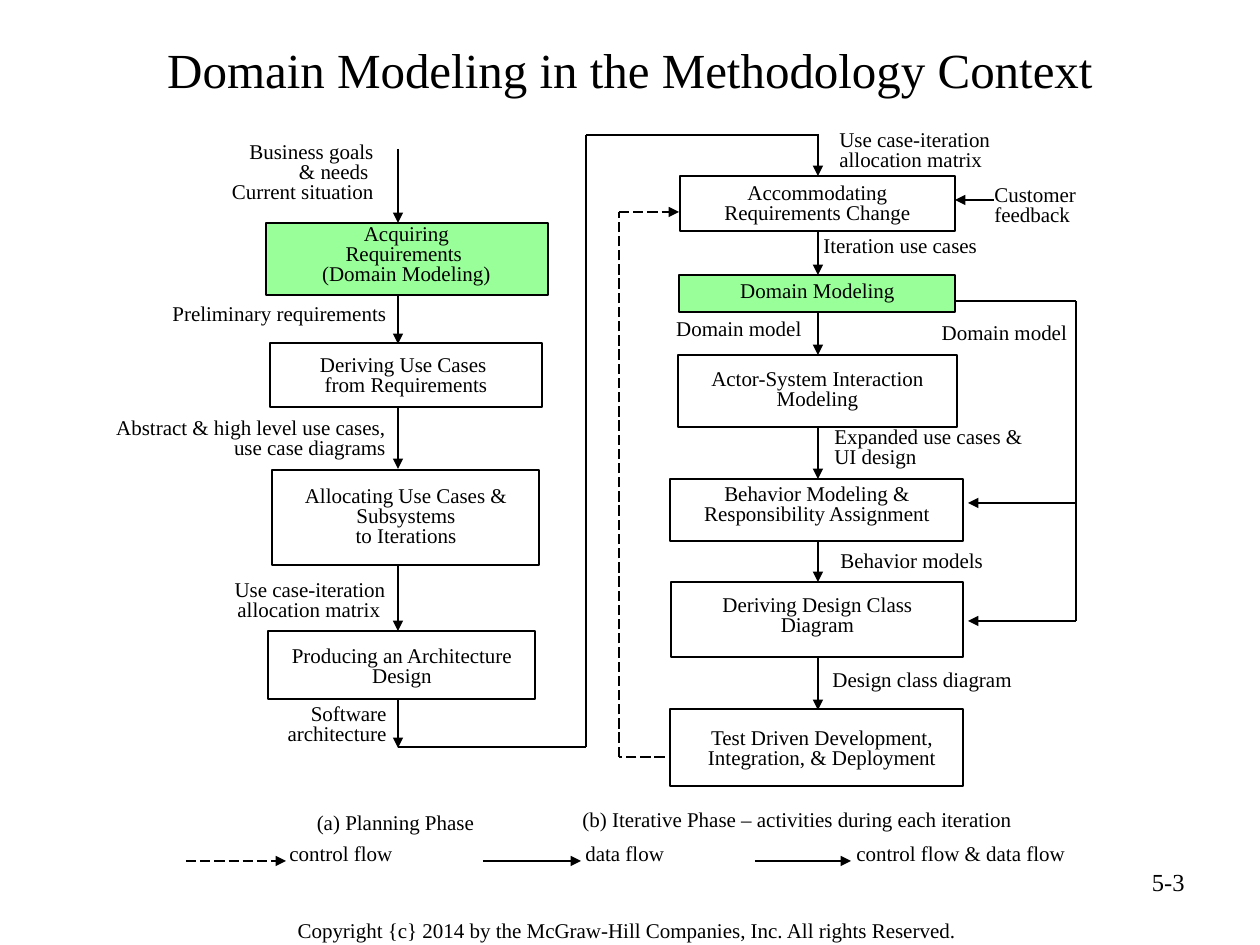
from itertools import pairwise

from lxml.etree import SubElement
from pptx import Presentation
from pptx.dml.color import RGBColor
from pptx.enum.dml import MSO_LINE
from pptx.enum.shapes import MSO_CONNECTOR, MSO_SHAPE
from pptx.enum.text import MSO_ANCHOR, PP_ALIGN
from pptx.oxml.ns import qn
from pptx.util import Emu, Pt

PX_PER_INCH = 126
FONT = "Times New Roman"
BLACK, WHITE, GREEN = "000000", "FFFFFF", "99FF99"
LEFT, CENTER, RIGHT = PP_ALIGN.LEFT, PP_ALIGN.CENTER, PP_ALIGN.RIGHT
THIN, THICK = 0.75, 1.5
PLANNING_X, ITERATION_X = 398, 818

# Box, text area, fill, lines
STAGES = [
    ((266, 223, 282, 72), (273, 219, 267, 66), GREEN,
     ["Acquiring", "Requirements ", "(Domain Modeling)"]),
    ((270, 343, 272, 64), (285, 350, 242, 62), WHITE,
     ["Deriving Use Cases ", "from Requirements"]),
    ((272, 470, 267, 95), (277, 481, 258, 89), WHITE,
     ["Allocating Use Cases & Subsystems", "to Iterations"]),
    ((268, 631, 267, 68), (273, 641, 258, 67), WHITE,
     ["Producing an Architecture Design"]),
    ((680, 176, 275, 55), (680, 178, 275, 66), WHITE,
     ["Accommodating", "Requirements Change"]),
    ((679, 275, 276, 37), (704, 276, 227, 45), GREEN, ["Domain Modeling"]),
    ((678, 355, 279, 72), (663, 364, 309, 81), WHITE,
     ["Actor-System Interaction Modeling"]),
    ((670, 479, 293, 62), (665, 479, 304, 60), WHITE,
     ["Behavior Modeling &", "Responsibility Assignment"]),
    ((671, 582, 292, 75), (675, 590, 285, 59), WHITE,
     ["Deriving Design Class", "Diagram"]),
    ((670, 709, 293, 77), (665, 723, 314, 77), WHITE,
     ["Test Driven Development, Integration, & Deployment"]),
]

# Area, alignment, lines
FLOW_LABELS = [
    ((174, 137, 212, 96), RIGHT, ["Business goals", "& needs ", "Current situation"]),
    ((160, 299, 244, 40), LEFT, ["Preliminary requirements"]),
    ((91, 413, 307, 67), RIGHT, ["Abstract & high level use cases, use case diagrams"]),
    ((145, 575, 253, 69), RIGHT, ["Use case-iteration allocation matrix "]),
    ((229, 699, 170, 67), RIGHT, ["Software architecture"]),
    ((827, 125, 253, 69), LEFT, ["Use case-iteration allocation matrix"]),
    ((982, 180, 149, 77), LEFT, ["Customer", "feedback"]),
    ((811, 231, 255, 44), LEFT, ["Iteration use cases"]),
    ((625, 314, 189, 35), RIGHT, ["Domain model"]),
    ((910, 318, 189, 35), CENTER, ["Domain model"]),
    ((822, 422, 238, 68), LEFT, ["Expanded use cases & UI design"]),
    ((828, 546, 176, 39), LEFT, ["Behavior models"]),
    ((820, 665, 324, 44), LEFT, ["Design class diagram"]),
    ((253, 808, 285, 44), CENTER, ["(a) Planning Phase"]),
    ((570, 805, 586, 44), LEFT, ["(b) Iterative Phase – activities during each iteration"]),
]

# Top and bottom of each downward arrow
PLANNING_ARROWS = [(149, 223), (296, 344), (406, 469), (566, 631), (700, 748)]
ITERATION_ARROWS = [(134, 176), (232, 275), (312, 355), (427, 479), (540, 582), (658, 710)]

# Arrow start and end, label left and width, label, line weight, dashed
LEGEND = [
    (186, 286, 277, 200, "control flow", THIN, True),
    (483, 581, 573, 183, "data flow", THIN, False),
    (755, 851, 844, 321, "control flow & data flow", THICK, False),
]


def px(value):
    return Emu(round(value * 914400 / PX_PER_INCH))


def color(hex_value):
    return RGBColor.from_string(hex_value)


def add_text(slide, area, lines, align=LEFT, size=12, spacing=0.8, anchor=MSO_ANCHOR.TOP):
    frame = slide.shapes.add_textbox(*map(px, area)).text_frame
    frame.word_wrap = True
    frame.vertical_anchor = anchor
    for index, line in enumerate(lines):
        paragraph = frame.add_paragraph() if index else frame.paragraphs[0]
        paragraph.alignment = align
        paragraph.line_spacing = spacing
        run = paragraph.add_run()
        run.text = line
        run.font.name = FONT
        run.font.size = Pt(size)
        run.font.color.rgb = color(BLACK)


def add_stage(slide, area, text_area, fill, lines):
    stage = slide.shapes.add_shape(MSO_SHAPE.RECTANGLE, *map(px, area))
    stage.shadow.inherit = False
    stage.fill.solid()
    stage.fill.fore_color.rgb = color(fill)
    stage.line.color.rgb = color(BLACK)
    stage.line.width = Pt(THIN)
    add_text(slide, text_area, lines, CENTER)


def add_flow(slide, points, weight, dashed=False, arrow=True):
    """Join the points with straight lines; the arrowhead is at the last point."""
    for start, end in pairwise(points):
        segment = slide.shapes.add_connector(MSO_CONNECTOR.STRAIGHT, *map(px, start + end))
        segment.line.color.rgb = color(BLACK)
        segment.line.width = Pt(weight)
        if dashed:
            segment.line.dash_style = MSO_LINE.LONG_DASH
        SubElement(segment._element.spPr, qn("a:effectLst"))
    if arrow:
        SubElement(segment.line._get_or_add_ln(), qn("a:tailEnd"), type="triangle")


def add_flows(slide):
    for x, arrows in ((PLANNING_X, PLANNING_ARROWS), (ITERATION_X, ITERATION_ARROWS)):
        for top, bottom in arrows:
            add_flow(slide, [(x, top), (x, bottom)], THICK)
    add_flow(slide, [(PLANNING_X, 747), (586, 747), (586, 135), (ITERATION_X, 135)],
             THICK, arrow=False)
    add_flow(slide, [(679, 757), (619, 757), (619, 212), (679, 212)], THIN, dashed=True)
    add_flow(slide, [(955, 301), (1076, 301), (1076, 621), (968, 621)], THIN)
    add_flow(slide, [(1076, 503), (968, 503)], THIN)
    add_flow(slide, [(994, 200), (955, 200)], THIN)


def add_legend(slide):
    for start, end, left, width, label, weight, dashed in LEGEND:
        add_flow(slide, [(start, 861), (end, 861)], weight, dashed)
        add_text(slide, (left, 839, width, 44), [label])


def main():
    presentation = Presentation()
    presentation.slide_width, presentation.slide_height = px(1260), px(945)
    slide = presentation.slides.add_slide(presentation.slide_layouts[6])

    add_text(slide, (63, 21, 1134, 95), ["Domain Modeling in the Methodology Context"],
             CENTER, size=28, spacing=1.0, anchor=MSO_ANCHOR.MIDDLE)
    add_flows(slide)
    for stage in STAGES:
        add_stage(slide, *stage)
    for area, align, lines in FLOW_LABELS:
        add_text(slide, area, lines, align)
    add_legend(slide)
    add_text(slide, (903, 861, 294, 66), ["5-3"], RIGHT, size=14, spacing=1.0)
    add_text(slide, (237, 911, 780, 39),
             ["Copyright {c} 2014 by the McGraw-Hill Companies, Inc. All rights Reserved."],
             CENTER, spacing=1.0)
    presentation.save("out.pptx")


if __name__ == "__main__":
    main()
